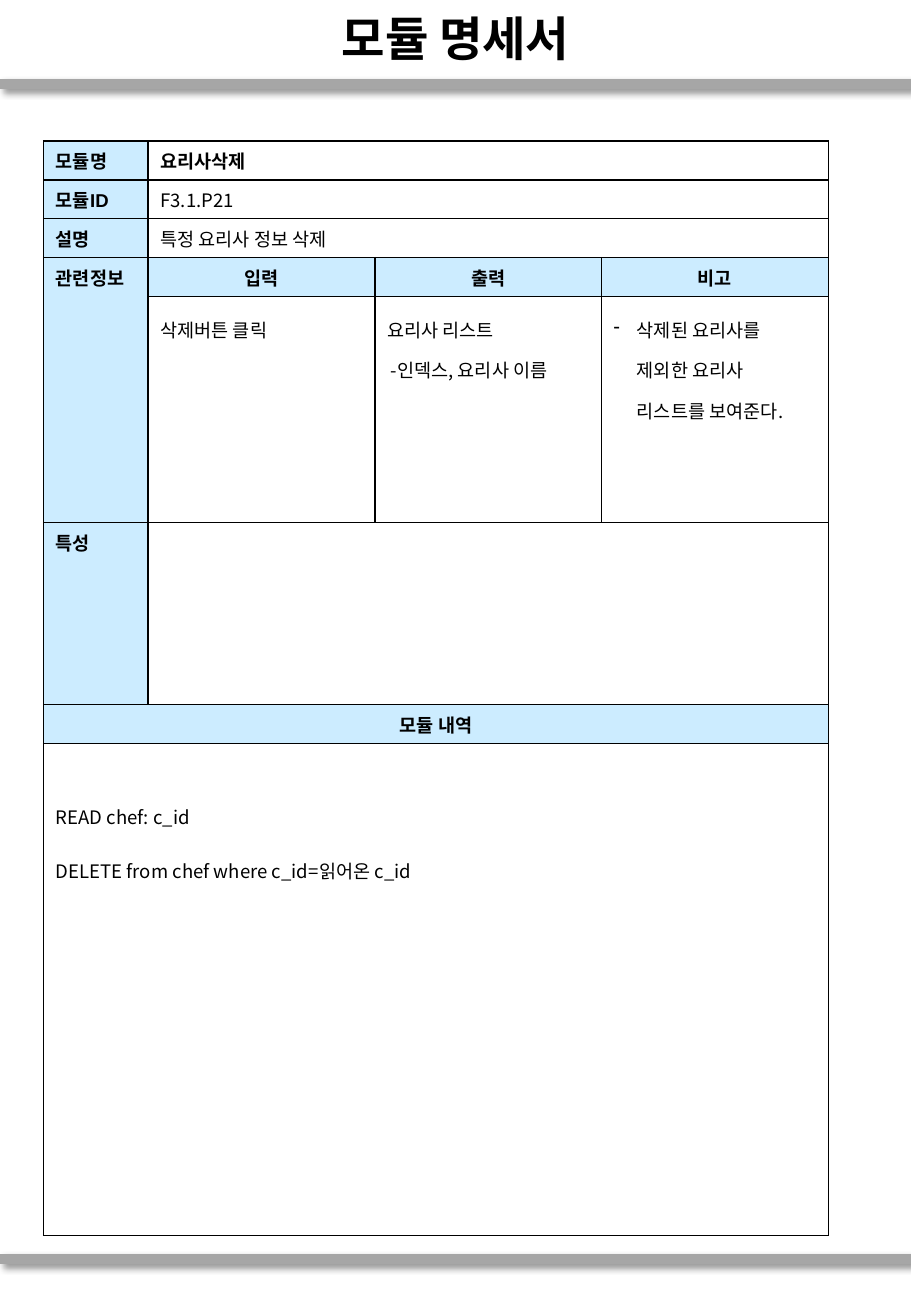
from lxml import etree
from pptx import Presentation
from pptx.dml.color import RGBColor
from pptx.enum.shapes import MSO_CONNECTOR
from pptx.enum.text import MSO_ANCHOR, PP_ALIGN
from pptx.oxml.ns import qn
from pptx.util import Inches, Pt

STRAIGHT = MSO_CONNECTOR.STRAIGHT
MIDDLE = MSO_ANCHOR.MIDDLE
LEFT, CENTER = PP_ALIGN.LEFT, PP_ALIGN.CENTER

PAGE_W, PAGE_H = 7.5, 10.83
KOREAN_FONT, LABEL_FONT = "Noto Sans CJK KR", "Arial"
BLACK, WHITE, LABEL_BLUE, RULE_GRAY = "000000", "FFFFFF", "CCECFF", "A6A6A6"

SPEC_LEFT, SPEC_TOP, SPEC_W = 0.36, 1.16, 6.46
LABEL_W = 0.86
LINE_H = 0.32
COLUMNS = [LABEL_W] + [(SPEC_W - LABEL_W) / 3] * 3
ROWS = [LINE_H] * 4 + [1.86, 1.5, LINE_H, 4.05]

LABEL = {"font": LABEL_FONT, "bold": True}
HEADING = {**LABEL, "align": CENTER}
DETAIL = {"spacing": 1.5}
CODE = {"spacing": 2.0}

MERGES = [(0, 1, 0, 3), (1, 1, 1, 3), (2, 1, 2, 3), (3, 0, 4, 0),
          (5, 1, 5, 3), (6, 0, 6, 3), (7, 0, 7, 3)]

CONTENT = {
    (0, 0): [("모듈명", LABEL)],
    (0, 1): [("요리사삭제", {"bold": True})],
    (1, 0): [("모듈ID", LABEL)],
    (1, 1): [("F3.1.P21", {})],
    (2, 0): [("설명", LABEL)],
    (2, 1): [("특정 요리사 정보 삭제", {})],
    (3, 0): [("관련정보", LABEL)],
    (3, 1): [("입력", HEADING)],
    (3, 2): [("출력", HEADING)],
    (3, 3): [("비고", HEADING)],
    (4, 1): [("삭제버튼 클릭", DETAIL)],
    (4, 2): [("요리사 리스트", DETAIL),
             ("-인덱스, 요리사 이름", {**DETAIL, "indent": 0.03})],
    (4, 3): [("삭제된 요리사를 제외한 요리사 리스트를 보여준다.",
              {**DETAIL, "indent": 0.19, "bullet": "-"})],
    (5, 0): [("특성", LABEL)],
    (6, 0): [("모듈 내역", HEADING)],
    (7, 0): [("READ chef: c_id", CODE),
             ("DELETE from chef where c_id=읽어온 c_id", CODE)],
}


def rgb(value):
    return RGBColor.from_string(value)


def add_element(parent, tag, **attributes):
    element = etree.SubElement(parent, qn(tag))
    for name, value in attributes.items():
        element.set(name, str(value))
    return element


def write_paragraph(paragraph, text, size=11, font=KOREAN_FONT, bold=False,
                    align=LEFT, spacing=1.0, indent=0, bullet=None):
    paragraph.alignment = align
    paragraph.line_spacing = spacing
    properties = paragraph._p.get_or_add_pPr()
    if indent:
        properties.set("marL", str(Inches(indent)))
    if bullet:
        properties.set("indent", str(-Inches(indent)))
        add_element(properties, "a:buChar", char=bullet)
    run = paragraph.add_run()
    run.text = text
    run.font.color.rgb = rgb(BLACK)
    for name, value in {"size": Pt(size), "bold": bold, "name": font}.items():
        setattr(run.font, name, value)
    add_element(run._r.get_or_add_rPr(), "a:ea", typeface=KOREAN_FONT)


def add_page_rule(slide, y):
    rule = slide.shapes.add_connector(STRAIGHT, 0, Inches(y), Inches(PAGE_W), Inches(y))
    rule.line.color.rgb = rgb(RULE_GRAY)
    rule.line.width = Pt(6)
    effects = add_element(rule._element.spPr, "a:effectLst")
    shadow = add_element(effects, "a:outerShdw", blurRad=Pt(4), dist=Pt(3),
                         dir=45 * 60000, algn="tl", rotWithShape=0)
    shade = add_element(shadow, "a:srgbClr", val=BLACK)
    add_element(shade, "a:alpha", val=40000)


def add_title(slide, text):
    title = slide.shapes.add_textbox(0, Inches(0.01), Inches(PAGE_W), Inches(0.6))
    frame = title.text_frame
    frame.word_wrap = True
    frame.vertical_anchor = MIDDLE
    write_paragraph(frame.paragraphs[0], text, size=28, bold=True, align=CENTER)


def style_cell(cell, fill):
    properties = cell._tc.get_or_add_tcPr()
    for side in ("a:lnL", "a:lnR", "a:lnT", "a:lnB"):
        border = add_element(properties, side, w=Pt(1))
        add_element(add_element(border, "a:solidFill"), "a:srgbClr", val=BLACK)
    cell.fill.solid()
    cell.fill.fore_color.rgb = rgb(fill)


def add_specification(slide):
    spec = slide.shapes.add_table(
        len(ROWS), len(COLUMNS), Inches(SPEC_LEFT), Inches(SPEC_TOP),
        Inches(SPEC_W), Inches(sum(ROWS))).table
    spec.first_row = spec.horz_banding = False
    for column, width in zip(spec.columns, COLUMNS):
        column.width = Inches(width)
    for row, height in zip(spec.rows, ROWS):
        row.height = Inches(height)
    for r in range(len(ROWS)):
        for c in range(len(COLUMNS)):
            is_label = r in (3, 6) or (c == 0 and r < 6)
            style_cell(spec.cell(r, c), LABEL_BLUE if is_label else WHITE)
    for top, left, bottom, right in MERGES:
        spec.cell(top, left).merge(spec.cell(bottom, right))
    for position, lines in CONTENT.items():
        frame = spec.cell(*position).text_frame
        for i, (text, style) in enumerate(lines):
            paragraph = frame.add_paragraph() if i else frame.paragraphs[0]
            write_paragraph(paragraph, text, **style)
    spec.cell(7, 0).margin_top = Inches(0.27)


def main():
    deck = Presentation()
    deck.slide_width, deck.slide_height = Inches(PAGE_W), Inches(PAGE_H)
    slide = deck.slides.add_slide(deck.slide_layouts[6])
    for y in (0.69, 10.36):
        add_page_rule(slide, y)
    add_title(slide, "모듈 명세서")
    add_specification(slide)
    deck.save("out.pptx")


if __name__ == "__main__":
    main()
